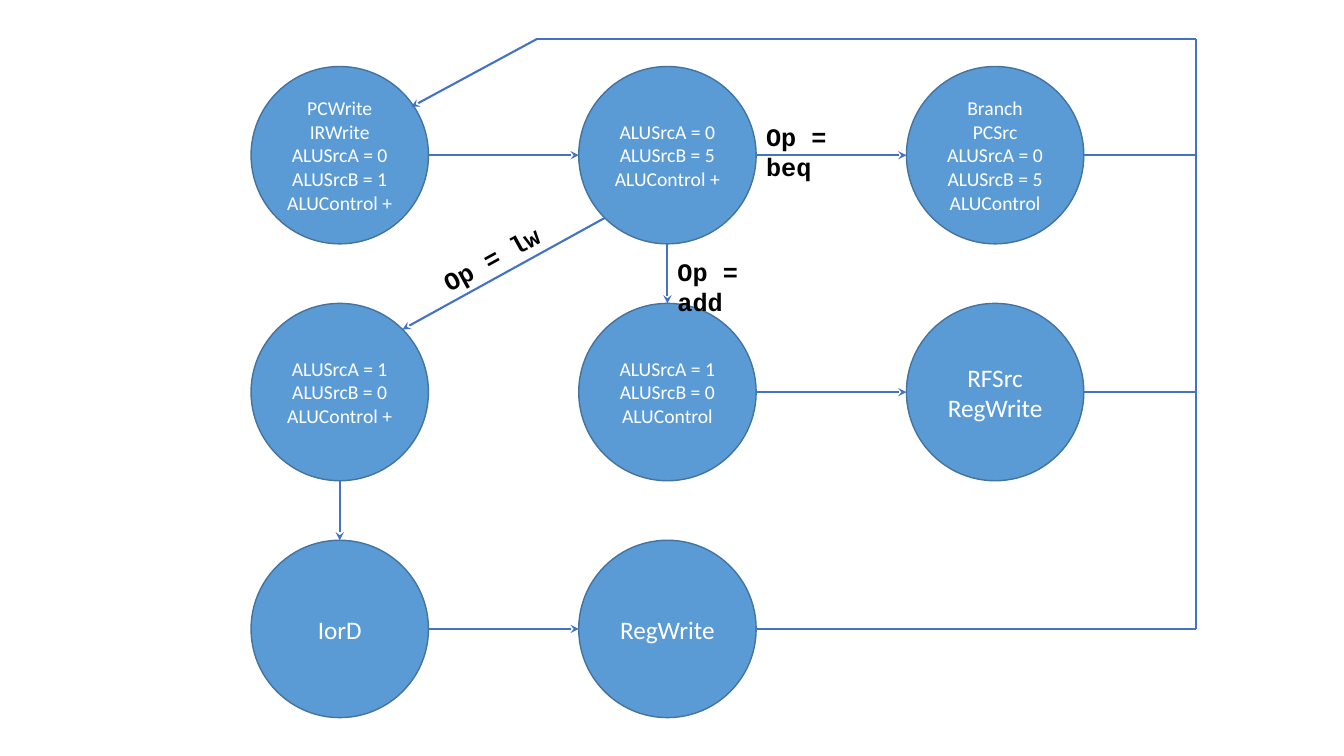
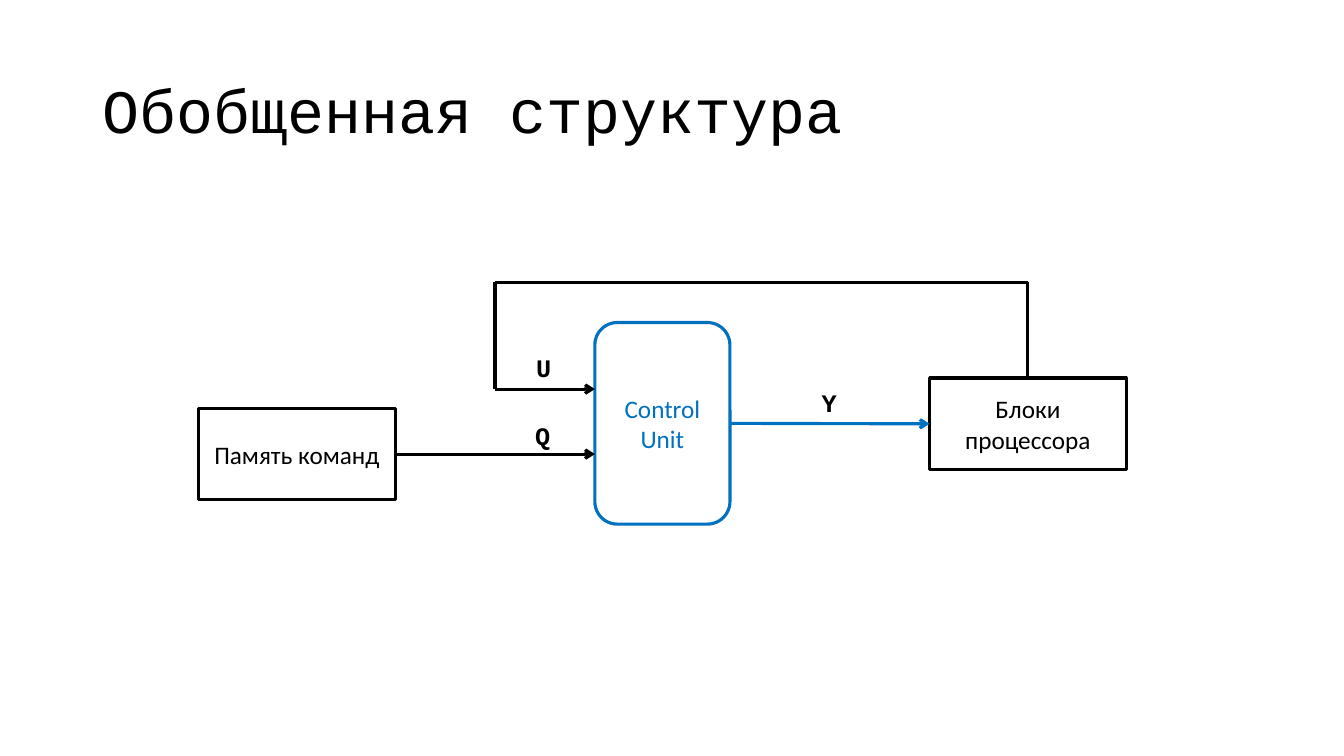
from dataclasses import dataclass
from math import sqrt
from typing import Optional

from pptx import Presentation
from pptx.dml.color import RGBColor
from pptx.enum.shapes import MSO_CONNECTOR, MSO_SHAPE
from pptx.enum.text import MSO_ANCHOR, MSO_AUTO_SIZE, PP_ALIGN
from pptx.oxml.ns import qn
from pptx.shapes.autoshape import Shape
from pptx.shapes.connector import Connector
from pptx.slide import Slide
from pptx.text.text import TextFrame
from pptx.util import Inches, Pt
from lxml.etree import SubElement

BLACK = RGBColor(0x00, 0x00, 0x00)
WHITE = RGBColor(0xFF, 0xFF, 0xFF)
STATE_FILL = RGBColor(0x5B, 0x9B, 0xD5)
STATE_LINE = RGBColor(0x43, 0x73, 0x9E)
ARROW_BLUE = RGBColor(0x44, 0x72, 0xC4)
CONTROL_BLUE = RGBColor(0x00, 0x70, 0xC0)

BODY_FONT = "Calibri"
CODE_FONT = "Courier New"
TITLE_ONLY, BLANK = 5, 6
LEFT_SIDE, RIGHT_SIDE, TOP_SIDE = 1, 3, 0

DIAMETER = 1.76
RADIUS = DIAMETER / 2
GRID_LEFT, GRID_TOP = 2.49, 0.66
COLUMN_STEP, ROW_STEP = 3.25, 2.35
BUS_X, BUS_TOP = 11.86, 0.39
FEEDBACK_LEFT, FEEDBACK_TOP, FEEDBACK_ENTRY = 4.91, 2.8, 3.86

Point = tuple[float, float]


@dataclass(frozen=True)
class State:
    column: int
    row: int
    text: str
    size: int = 14

    @property
    def center(self) -> Point:
        return (GRID_LEFT + COLUMN_STEP * self.column + RADIUS,
                GRID_TOP + ROW_STEP * self.row + RADIUS)

    def edge(self, dx: int, dy: int) -> Point:
        """Return the point of the circle that lies in the direction (dx, dy)."""
        x, y = self.center
        scale = RADIUS / sqrt(dx * dx + dy * dy)
        return x + dx * scale, y + dy * scale


@dataclass(frozen=True)
class Block:
    text: str
    left: float
    top: float
    width: float
    height: float
    color: RGBColor = BLACK
    preset: MSO_SHAPE = MSO_SHAPE.RECTANGLE


@dataclass(frozen=True)
class Label:
    text: str
    left: float
    top: float
    width: float
    rotation: float = 0


FETCH = State(0, 0, "PCWrite\nIRWrite\nALUSrcA = 0\nALUSrcB = 1\nALUControl +")
DECODE = State(1, 0, "ALUSrcA = 0\nALUSrcB = 5\nALUControl +")
BRANCH = State(2, 0, "Branch\nPCSrc\nALUSrcA = 0\nALUSrcB = 5\nALUControl")
ADDRESS = State(0, 1, "ALUSrcA = 1\nALUSrcB = 0\nALUControl +")
EXECUTE = State(1, 1, "ALUSrcA = 1\nALUSrcB = 0\nALUControl")
WRITE_RESULT = State(2, 1, "RFSrc\nRegWrite", 18)
READ_MEMORY = State(0, 2, "IorD", 18)
WRITE_LOADED = State(1, 2, "RegWrite", 18)
STATES = (FETCH, DECODE, BRANCH, ADDRESS, EXECUTE, WRITE_RESULT, READ_MEMORY, WRITE_LOADED)

# Source state, target state, direction of the arrow
TRANSITIONS = (
    (FETCH, DECODE, (1, 0)),
    (DECODE, BRANCH, (1, 0)),
    (EXECUTE, WRITE_RESULT, (1, 0)),
    (READ_MEMORY, WRITE_LOADED, (1, 0)),
    (DECODE, EXECUTE, (0, 1)),
    (ADDRESS, READ_MEMORY, (0, 1)),
    (DECODE, ADDRESS, (-1, 1)),
)
OPCODE_LABELS = (
    Label("Op = lw", 4.24, 2.33, 1.39, 331.3),
    Label("Op = beq", 7.5, 1.15, 1.39),
    Label("Op = add", 6.62, 2.49, 1.39),
)

CONTROL_UNIT = Block("Control Unit", 5.9, 3.2, 1.34, 2, CONTROL_BLUE,
                     MSO_SHAPE.ROUNDED_RECTANGLE)
PROCESSOR = Block("Блоки процессора", 9.22, 3.75, 1.95, 0.91)
COMMAND_MEMORY = Block("Память команд", 1.97, 4.05, 1.95, 0.91)
SIGNAL_LABELS = (
    Label("Q", 5.21, 4.12, 0.36),
    Label("U", 5.22, 3.45, 0.36),
    Label("Y", 8.05, 3.79, 0.36),
)


def format_text(frame: TextFrame, font_name: str, size: int, color: RGBColor,
                align: PP_ALIGN = PP_ALIGN.LEFT, bold: bool = False) -> None:
    for paragraph in frame.paragraphs:
        paragraph.alignment = align
        for run in paragraph.runs:
            run.font.name = font_name
            run.font.size = Pt(size)
            run.font.bold = bold
            run.font.color.rgb = color


def add_node(slide: Slide, preset: MSO_SHAPE, box: tuple[float, float, float, float],
             text: str, size: int, fill: RGBColor, line: RGBColor,
             line_width: float, text_color: RGBColor) -> Shape:
    shape = slide.shapes.add_shape(preset, *map(Inches, box))
    shape.shadow.inherit = False
    shape.fill.solid()
    shape.fill.fore_color.rgb = fill
    shape.line.color.rgb = line
    shape.line.width = Pt(line_width)
    frame = shape.text_frame
    frame.word_wrap = True
    frame.vertical_anchor = MSO_ANCHOR.MIDDLE
    frame.text = text
    format_text(frame, BODY_FONT, size, text_color, PP_ALIGN.CENTER)
    return shape


def add_state(slide: Slide, state: State) -> None:
    x, y = state.center
    circle = add_node(slide, MSO_SHAPE.OVAL, (x - RADIUS, y - RADIUS, DIAMETER, DIAMETER),
                      state.text, state.size, STATE_FILL, STATE_LINE, 1, WHITE)
    circle.text_frame.margin_left = circle.text_frame.margin_right = Inches(0.05)


def add_block(slide: Slide, block: Block) -> Shape:
    return add_node(slide, block.preset, (block.left, block.top, block.width, block.height),
                    block.text, 18, WHITE, block.color, 2.25, block.color)


def add_line(slide: Slide, start: Point, end: Point, color: RGBColor, width: float,
             arrowhead: Optional[str] = None) -> Connector:
    connector = slide.shapes.add_connector(
        MSO_CONNECTOR.STRAIGHT, *map(Inches, (*start, *end)))
    connector.line.color.rgb = color
    connector.line.width = Pt(width)
    properties = connector._element.spPr
    if arrowhead:
        SubElement(properties.find(qn("a:ln")), qn("a:tailEnd"), type=arrowhead)
    SubElement(properties, qn("a:effectLst"))
    return connector


def add_label(slide: Slide, label: Label) -> None:
    text_box = slide.shapes.add_textbox(
        *map(Inches, (label.left, label.top, label.width, 0.4)))
    text_box.rotation = label.rotation
    frame = text_box.text_frame
    frame.word_wrap = True
    frame.auto_size = MSO_AUTO_SIZE.SHAPE_TO_FIT_TEXT
    frame.text = label.text
    format_text(frame, CODE_FONT, 18, BLACK, bold=True)


def set_title(slide: Slide, text: str) -> None:
    title = slide.shapes.title
    title.left, title.top, title.width, title.height = map(Inches, (0.92, 0.4, 11.5, 1.45))
    frame = title.text_frame
    frame.text = text
    frame.auto_size = MSO_AUTO_SIZE.NONE
    frame.vertical_anchor = MSO_ANCHOR.MIDDLE
    frame.paragraphs[0].line_spacing = 0.9
    format_text(frame, CODE_FONT, 44, BLACK)


def build_state_diagram(presentation: Presentation) -> None:
    slide = presentation.slides.add_slide(presentation.slide_layouts[BLANK])
    for state in STATES:
        add_state(slide, state)
    for source, target, (dx, dy) in TRANSITIONS:
        add_line(slide, source.edge(dx, dy), target.edge(-dx, -dy), ARROW_BLUE, 1.5, "stealth")

    for state in (BRANCH, WRITE_RESULT, WRITE_LOADED):
        start = state.edge(1, 0)
        add_line(slide, start, (BUS_X, start[1]), ARROW_BLUE, 1.5)
    bus_corner, bus_turn = (BUS_X, BUS_TOP), (5.32, BUS_TOP)
    add_line(slide, bus_corner, (BUS_X, WRITE_LOADED.center[1]), ARROW_BLUE, 1.5)
    add_line(slide, bus_turn, bus_corner, ARROW_BLUE, 1.5)
    add_line(slide, bus_turn, (4.08, 1.06), ARROW_BLUE, 1.5, "stealth")

    for label in OPCODE_LABELS:
        add_label(slide, label)


def build_structure(presentation: Presentation) -> None:
    slide = presentation.slides.add_slide(presentation.slide_layouts[TITLE_ONLY])
    set_title(slide, "Обобщенная структура")
    control_unit, processor, command_memory = (
        add_block(slide, block) for block in (CONTROL_UNIT, PROCESSOR, COMMAND_MEMORY))

    memory_right = COMMAND_MEMORY.left + COMMAND_MEMORY.width
    memory_middle = COMMAND_MEMORY.top + COMMAND_MEMORY.height / 2
    query = add_line(slide, (memory_right, memory_middle), (CONTROL_UNIT.left, memory_middle),
                     BLACK, 2.25, "arrow")
    query.begin_connect(command_memory, RIGHT_SIDE)

    control_right = CONTROL_UNIT.left + CONTROL_UNIT.width
    control_middle = CONTROL_UNIT.top + CONTROL_UNIT.height / 2
    control = add_line(slide, (control_right, control_middle), (PROCESSOR.left, control_middle),
                       CONTROL_BLUE, 2.25, "arrow")
    control.begin_connect(control_unit, RIGHT_SIDE)
    control.end_connect(processor, LEFT_SIDE)

    processor_center = PROCESSOR.left + PROCESSOR.width / 2
    feedback_right = (processor_center, FEEDBACK_TOP)
    feedback_left = (FEEDBACK_LEFT, FEEDBACK_TOP)
    feedback_entry = (FEEDBACK_LEFT, FEEDBACK_ENTRY)
    rise = add_line(slide, (processor_center, PROCESSOR.top), feedback_right, BLACK, 2.25)
    rise.begin_connect(processor, TOP_SIDE)
    add_line(slide, feedback_left, feedback_right, BLACK, 2.25)
    add_line(slide, feedback_entry, feedback_left, BLACK, 2.25)
    add_line(slide, feedback_entry, (CONTROL_UNIT.left, FEEDBACK_ENTRY), BLACK, 2.25, "arrow")

    for label in SIGNAL_LABELS:
        add_label(slide, label)


def main() -> None:
    presentation = Presentation()
    presentation.slide_width = Inches(13.33)
    presentation.slide_height = Inches(7.5)
    build_state_diagram(presentation)
    build_structure(presentation)
    presentation.save("out.pptx")


if __name__ == "__main__":
    main()
